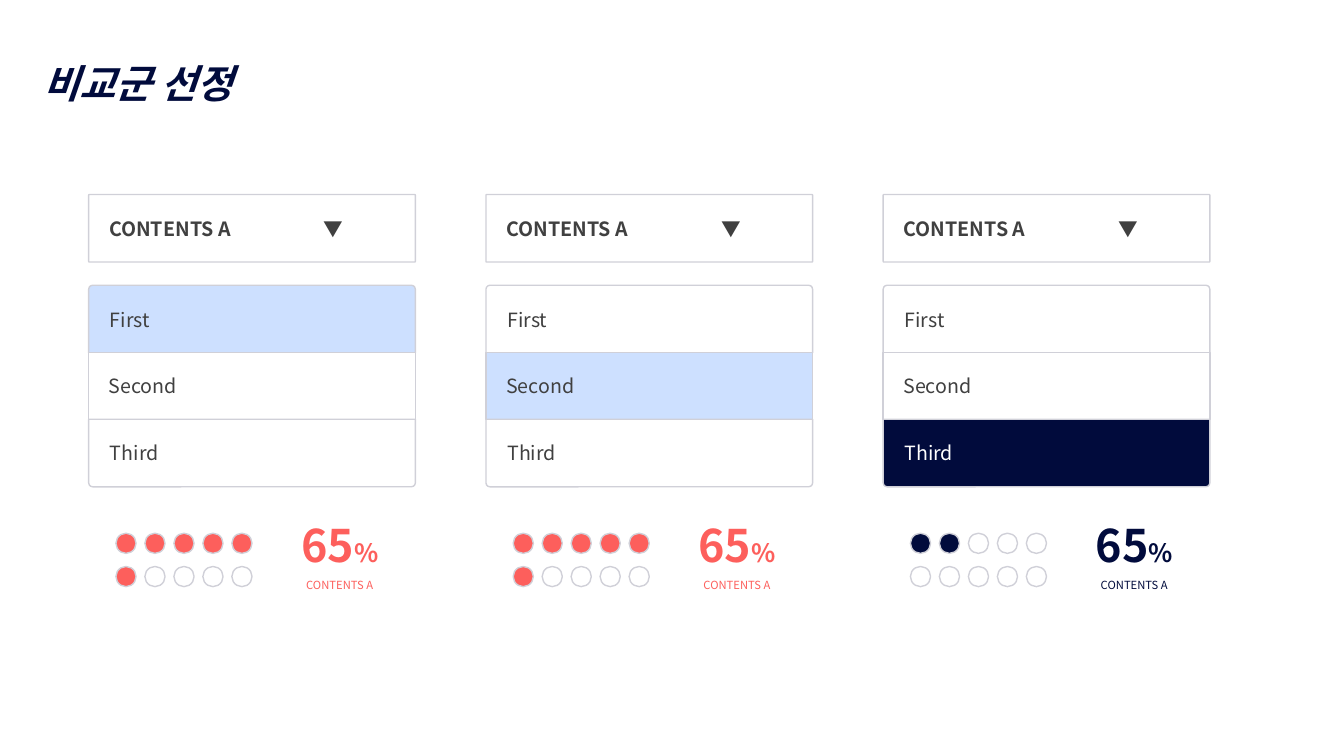
from dataclasses import dataclass

from lxml import etree
from pptx import Presentation
from pptx.dml.color import RGBColor
from pptx.enum.shapes import MSO_SHAPE
from pptx.enum.text import MSO_ANCHOR, MSO_AUTO_SIZE, PP_ALIGN
from pptx.oxml.ns import qn
from pptx.util import Inches, Pt

HEADER_SHAPE = MSO_SHAPE.ROUNDED_RECTANGLE
OPTION_SHAPE = MSO_SHAPE.ROUND_2_SAME_RECTANGLE
DOT_SHAPE = MSO_SHAPE.OVAL
MIDDLE = MSO_ANCHOR.MIDDLE
GROW = MSO_AUTO_SIZE.SHAPE_TO_FIT_TEXT
LEFT = PP_ALIGN.LEFT
CENTER = PP_ALIGN.CENTER


@dataclass(frozen=True)
class Theme:
    """Colours, font and type sizes of the slide."""
    font: str = "Noto Sans CJK KR"
    navy: str = "010B3C"
    coral: str = "FD5F5C"
    sky: str = "CDE0FF"
    white: str = "FFFFFF"
    border: str = "D0D0D8"
    ink: str = "404040"
    title: int = 28
    body: int = 14
    figure: int = 32
    percent: int = 18
    caption: int = 8


THEME = Theme()
ROW_HEIGHT = 0.67
CORNER = 0.06
OPTIONS = [("First", (CORNER, 0)), ("Second", (0, 0)), ("Third", (0, CORNER))]
GROUPS = [
    (0, THEME.sky, THEME.ink, THEME.coral, 6),
    (1, THEME.sky, THEME.ink, THEME.coral, 6),
    (2, THEME.navy, THEME.white, THEME.navy, 2),
]


def style_run(run, size, color, bold=False, italic=False):
    """Set the type of a run for Latin and Korean text."""
    font = run.font
    font.size, font.bold, font.italic = Pt(size), bold, italic
    font.color.rgb = RGBColor.from_string(color)
    font.name = THEME.font
    latin = run._r.rPr.find(qn("a:latin"))
    east_asian = etree.Element(qn("a:ea"), typeface=THEME.font)
    latin.addnext(east_asian)


def add_outlined(slide, kind, box, fill, corners=()):
    """Add a filled preset shape with the thin grey border."""
    shape = slide.shapes.add_shape(kind, *map(Inches, box))
    shape.shadow.inherit = False
    shape.fill.solid()
    shape.fill.fore_color.rgb = RGBColor.from_string(fill)
    shape.line.color.rgb = RGBColor.from_string(THEME.border)
    shape.line.width = Pt(1)
    for index, corner in enumerate(corners):
        shape.adjustments[index] = corner
    return shape


def add_bar(slide, kind, box, text, fill, color, corners, bold=False):
    """Add a left-aligned menu bar and return its paragraph."""
    frame = add_outlined(slide, kind, box, fill, corners).text_frame
    frame.margin_left = Inches(0.2)
    frame.vertical_anchor = MIDDLE
    frame.text = text
    label = frame.paragraphs[0]
    label.alignment = LEFT
    style_run(label.runs[0], THEME.body, color, bold)
    return label


def add_text_box(slide, box):
    """Add a wrapping text box and return its frame."""
    frame = slide.shapes.add_textbox(*map(Inches, box)).text_frame
    frame.word_wrap = True
    frame.auto_size = GROW
    return frame


def add_title(slide, box):
    """Add the slide title."""
    frame = add_text_box(slide, box)
    frame.text = "비교군 선정"
    heading = frame.paragraphs[0]
    heading.line_spacing = 1.5
    style_run(heading.runs[0], THEME.title, THEME.navy, True, True)


def add_header(slide, box):
    """Add the drop-down header with its arrow at a tab stop."""
    label = add_bar(slide, HEADER_SHAPE, box, "CONTENTS A\t▼",
                    THEME.white, THEME.ink, (0.012,), True)
    stops = etree.SubElement(label._p.get_or_add_pPr(), qn("a:tabLst"))
    etree.SubElement(stops, qn("a:tab"), pos=str(Inches(2.13)), algn="l")


def add_options(slide, box, chosen, fill, color):
    """Add the stacked options, with the chosen one highlighted."""
    left, top, width, height = box
    pitch = (height - ROW_HEIGHT) / (len(OPTIONS) - 1)
    for row, (name, corners) in enumerate(OPTIONS):
        colors = (fill, color) if row == chosen else (THEME.white, THEME.ink)
        add_bar(slide, OPTION_SHAPE, (left, top + row * pitch, width, ROW_HEIGHT),
                name, *colors, corners)


def add_dots(slide, box, filled, color):
    """Add two rows of five dots, the first ones filled."""
    left, top, width, height = box
    size, columns, rows = 0.2, 5, 2
    for index in range(columns * rows):
        row, column = divmod(index, columns)
        x = left + column * (width - size) / (columns - 1)
        y = top + row * (height - size) / (rows - 1)
        add_outlined(slide, DOT_SHAPE, (x, y, size, size),
                     color if index < filled else THEME.white)


def add_share(slide, box, color):
    """Add the percentage with its caption."""
    frame = add_text_box(slide, box)
    share, caption = frame.paragraphs[0], frame.add_paragraph()
    caption.line_spacing = 1.5
    for paragraph, text, size, bold in (
        (share, "65", THEME.figure, True),
        (share, "%", THEME.percent, True),
        (caption, "CONTENTS A", THEME.caption, False),
    ):
        paragraph.alignment = CENTER
        run = paragraph.add_run()
        run.text = text
        style_run(run, size, color, bold)


def add_group(slide, box, chosen, fill, color, accent, filled):
    """Add one comparison column."""
    left, top, width, height = box
    bottom = top + height
    add_header(slide, (left, top, width, ROW_HEIGHT))
    add_options(slide, (left, top + 0.9, width, 2), chosen, fill, color)
    add_dots(slide, (left + 0.27, bottom - 0.64, 1.35, 0.53), filled, accent)
    add_share(slide, (left + 1.93, bottom - 0.84, 1.12, 0.84), accent)


def main():
    """Build and save the slide."""
    deck = Presentation()
    deck.slide_width, deck.slide_height = Inches(13.33), Inches(7.5)
    slide = deck.slides.add_slide(deck.slide_layouts[6])
    for column, group in enumerate(GROUPS):
        add_group(slide, (0.88 + column * 3.94, 1.93, 3.24, 4), *group)
    add_title(slide, (0.33, 0.31, 6.67, 0.57))
    deck.save("out.pptx")


if __name__ == "__main__":
    main()
